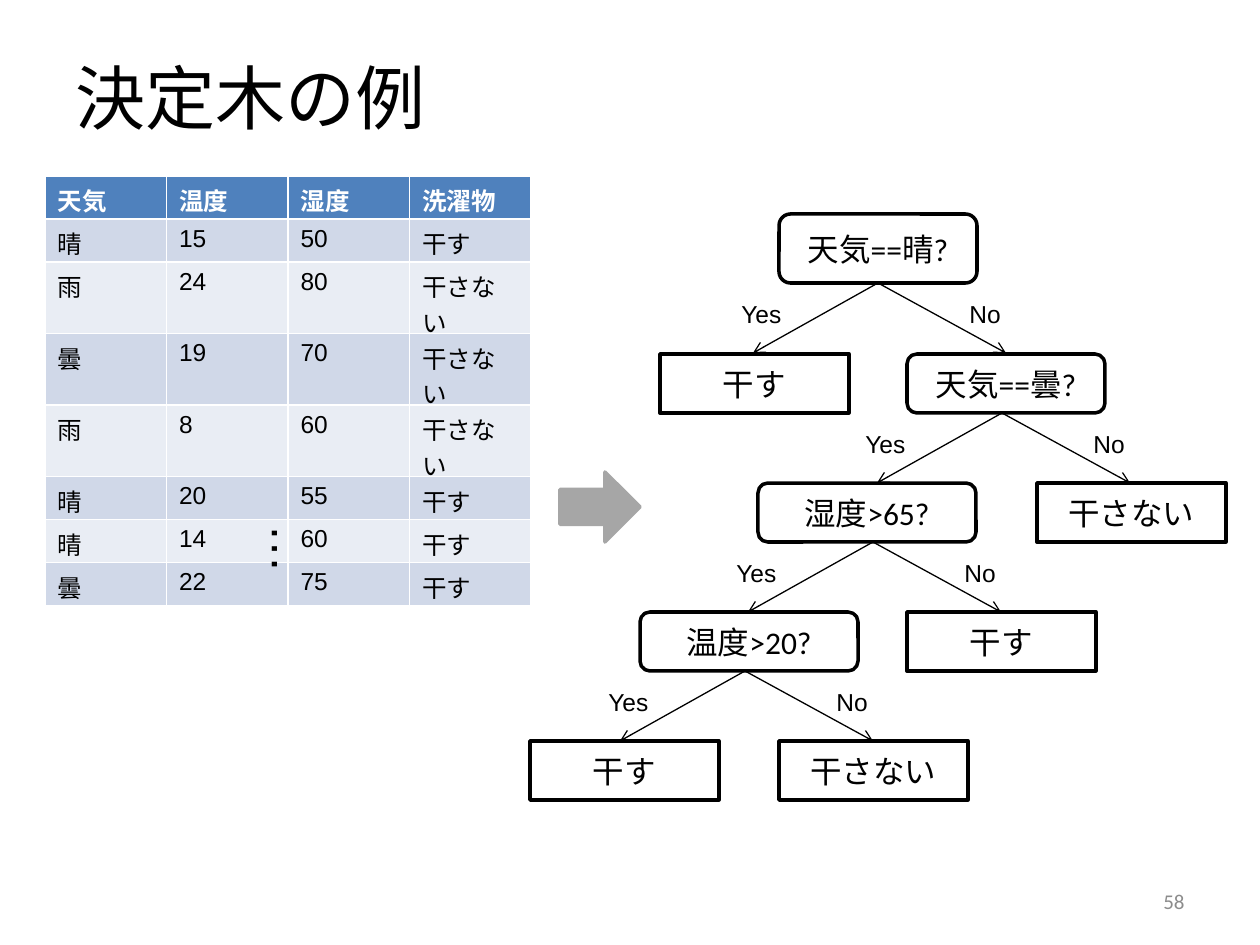
from dataclasses import dataclass

from lxml import etree
from pptx import Presentation
from pptx.dml.color import RGBColor
from pptx.enum.shapes import MSO_CONNECTOR, MSO_SHAPE
from pptx.enum.text import MSO_ANCHOR, PP_ALIGN
from pptx.oxml.ns import qn
from pptx.util import Emu, Pt

ROUNDED = MSO_SHAPE.ROUNDED_RECTANGLE
RECTANGLE = MSO_SHAPE.RECTANGLE
RIGHT_ARROW = MSO_SHAPE.RIGHT_ARROW
STRAIGHT = MSO_CONNECTOR.STRAIGHT
TOP, MIDDLE = MSO_ANCHOR.TOP, MSO_ANCHOR.MIDDLE
LEFT, CENTER, RIGHT = PP_ALIGN.LEFT, PP_ALIGN.CENTER, PP_ALIGN.RIGHT

EMU_PER_PX = 914400 / 126
BLACK, WHITE, GREY, NUMBER_GREY = "000000", "FFFFFF", "A6A6A6", "8C8C8C"
HEADER_FILL, BAND_FILLS = "4F81BD", ("D0D8E8", "E9EDF4")

LEVEL_TOPS = (214, 354, 483, 612, 741)
ROOT_HEIGHT, NODE_HEIGHT = 69, 59
LEAF_WIDTH = 189
BRANCH_DROP = 70

TABLE_ROWS = (
    ("天気", "温度", "湿度", "洗濯物"),
    ("晴", "15", "50", "干す"),
    ("雨", "24", "80", "干さない"),
    ("曇", "19", "70", "干さない"),
    ("雨", "8", "60", "干さない"),
    ("晴", "20", "55", "干す"),
    ("晴", "14", "60", "干す"),
    ("曇", "22", "75", "干す"),
)


@dataclass(frozen=True)
class Node:
    text: str
    level: int
    left: int
    width: int = LEAF_WIDTH
    is_question: bool = False

    @property
    def height(self) -> int:
        return NODE_HEIGHT if self.level else ROOT_HEIGHT


@dataclass(frozen=True)
class Branch:
    label: str
    end_shift: int
    label_shift: int
    label_width: int


NODES = (
    Node("天気==晴?", 0, 779, 198, True),
    Node("干す", 1, 660),
    Node("天気==曇?", 1, 907, 198, True),
    Node("湿度>65?", 2, 758, 218, True),
    Node("干さない", 2, 1037),
    Node("温度>20?", 3, 640, 218, True),
    Node("干す", 3, 907),
    Node("干す", 4, 530),
    Node("干さない", 4, 779),
)
FORK_CENTERS = (878, 1002, 873, 745)
BRANCHES = (Branch("Yes", -125, -149, 66), Branch("No", 128, 79, 57))


def px(length: int) -> Emu:
    return Emu(round(length * EMU_PER_PX))


def color(value: str) -> RGBColor:
    return RGBColor.from_string(value)


def add_span(para, text: str, size: int, font: str, fill: str, bold: bool = False) -> None:
    span = para.add_run()
    span.text = text
    span.font.size = Pt(size)
    span.font.name = font
    span.font.bold = bold
    span.font.color.rgb = color(fill)


def add_label(slide, text: str, left: int, top: int, width: int, height: int, size: int,
              font: str = "Arial", fill: str = BLACK, align=LEFT, anchor=TOP,
              wrap: bool = False):
    box = slide.shapes.add_textbox(px(left), px(top), px(width), px(height))
    frame = box.text_frame
    frame.word_wrap = wrap
    frame.vertical_anchor = anchor
    para = frame.paragraphs[0]
    para.alignment = align
    add_span(para, text, size, font, fill)
    return box


def add_weather_table(slide) -> None:
    """The default table style supplies the white cell borders."""
    row_count, column_count = len(TABLE_ROWS), len(TABLE_ROWS[0])
    table = slide.shapes.add_table(row_count, column_count, px(45), px(176),
                                   px(486), px(344)).table
    for row, texts in enumerate(TABLE_ROWS):
        is_header = row == 0
        for column, text in enumerate(texts):
            cell = table.cell(row, column)
            cell.fill.solid()
            cell.fill.fore_color.rgb = color(
                HEADER_FILL if is_header else BAND_FILLS[(row - 1) % 2])
            add_span(cell.text_frame.paragraphs[0], text, 14, "Arial",
                     WHITE if is_header else BLACK, is_header)


def add_node(slide, node: Node) -> None:
    kind = ROUNDED if node.is_question else RECTANGLE
    box = slide.shapes.add_shape(kind, px(node.left), px(LEVEL_TOPS[node.level]),
                                 px(node.width), px(node.height))
    box.shadow.inherit = False
    box.fill.background()
    box.line.color.rgb = color(BLACK)
    box.line.width = Pt(2)
    frame = box.text_frame
    frame.vertical_anchor = MIDDLE
    para = frame.paragraphs[0]
    para.alignment = CENTER
    add_span(para, node.text, 18, "Calibri", BLACK)


def add_branch(slide, branch: Branch, center: int, bottom: int) -> None:
    line = slide.shapes.add_connector(STRAIGHT, px(center), px(bottom),
                                      px(center + branch.end_shift),
                                      px(bottom + BRANCH_DROP))
    line.line.color.rgb = color(BLACK)
    line.line.width = Pt(0.75)
    etree.SubElement(line.line._get_or_add_ln(), qn("a:tailEnd"), type="arrow")
    etree.SubElement(line._element.spPr, qn("a:effectLst"))
    add_label(slide, branch.label, center + branch.label_shift, bottom + 10,
              branch.label_width, 43, 14)


def add_result_arrow(slide) -> None:
    arrow = slide.shapes.add_shape(RIGHT_ARROW, px(560), px(472), px(80), px(70))
    arrow.shadow.inherit = False
    arrow.fill.solid()
    arrow.fill.fore_color.rgb = color(GREY)
    arrow.line.color.rgb = color(GREY)
    arrow.line.width = Pt(2)


def main() -> None:
    deck = Presentation()
    deck.slide_width, deck.slide_height = px(1260), px(945)
    page = deck.slides.add_slide(deck.slide_layouts[6])

    add_label(page, "決定木の例", 63, 38, 1134, 117, 40, "Calibri", anchor=MIDDLE, wrap=True)
    add_label(page, "58", 903, 876, 294, 50, 12, "Calibri", NUMBER_GREY, RIGHT, MIDDLE, True)
    add_weather_table(page)
    ellipsis = add_label(page, "…", 243, 512, 84, 62, 28)
    ellipsis.text_frame._txBody.bodyPr.set("vert", "eaVert")

    for node in NODES:
        add_node(page, node)
    questions = [node for node in NODES if node.is_question]
    for question, center in zip(questions, FORK_CENTERS):
        bottom = LEVEL_TOPS[question.level] + question.height
        for branch in BRANCHES:
            add_branch(page, branch, center, bottom)
    add_result_arrow(page)

    deck.save("out.pptx")


if __name__ == "__main__":
    main()
